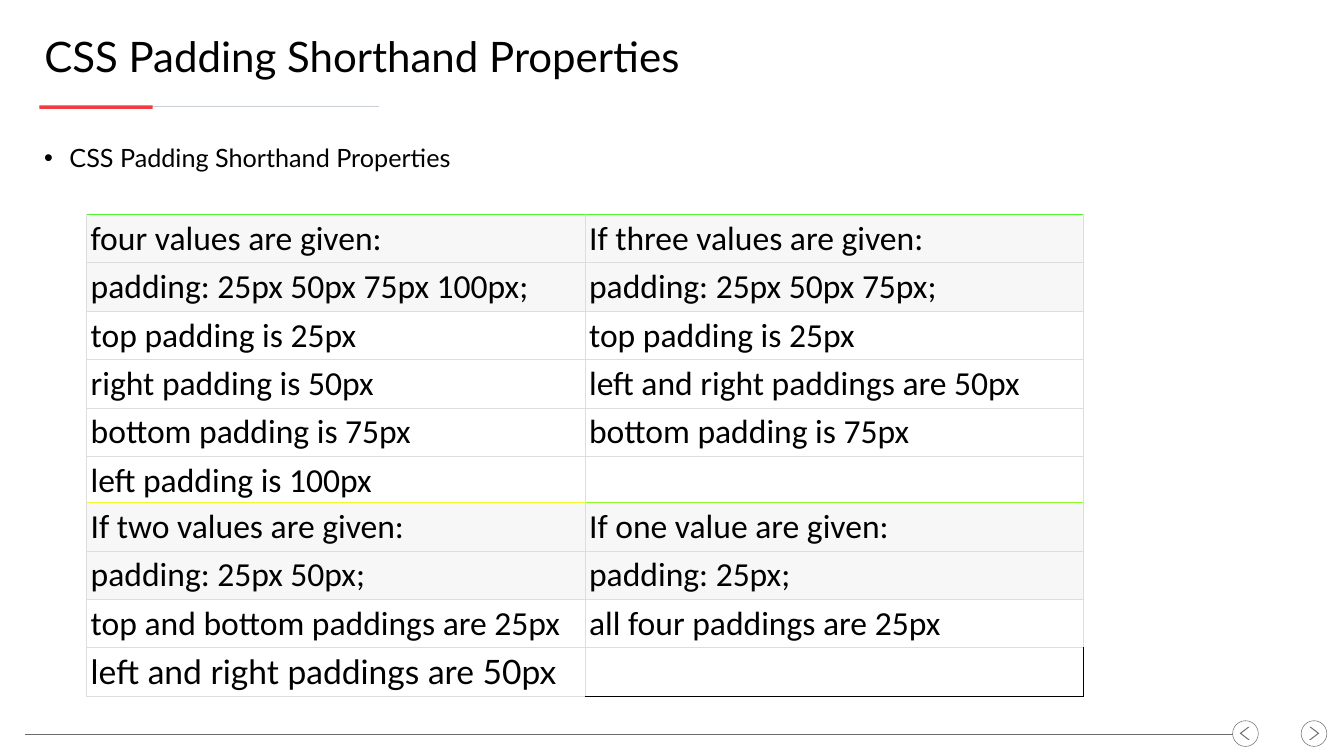
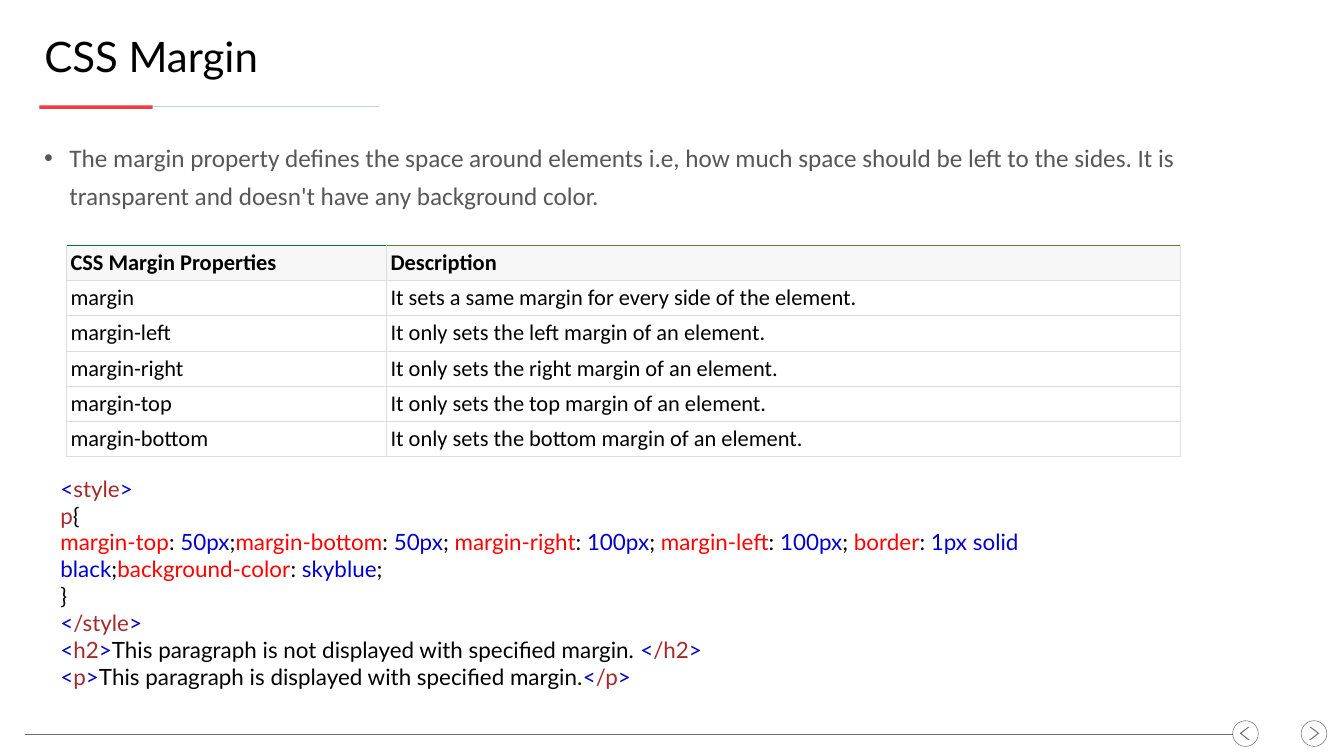
from lxml import etree
from pptx import Presentation
from pptx.dml.color import RGBColor
from pptx.enum.shapes import MSO_CONNECTOR, MSO_SHAPE
from pptx.enum.text import MSO_ANCHOR
from pptx.oxml.ns import qn
from pptx.util import Inches, Pt

STRAIGHT = MSO_CONNECTOR.STRAIGHT
RECT, OVAL, CHEVRON = MSO_SHAPE.RECTANGLE, MSO_SHAPE.OVAL, MSO_SHAPE.CHEVRON
TOP, MIDDLE, BOTTOM = MSO_ANCHOR.TOP, MSO_ANCHOR.MIDDLE, MSO_ANCHOR.BOTTOM

COLORS = {
    "black": "000000", "white": "FFFFFF", "body": "575757", "accent": "F23A43",
    "rule": "CBD0D7", "nav": "6C6C6C", "border": "DDDDDD", "header": "F7F7F7",
    "symbol": "0000CD", "tag": "A52A2A", "property": "FF0000",
    "green1": "50F52F", "green2": "50F62F", "yellow": "F0FA2F",
    "lime": "90FA2F", "pine": "007735", "moss": "607735",
}
HEADING, BODY = "Lato", "Calibri"

TITLE_BOX = (0.78, 0.59, 25.05, 1.04)
BULLET_BOX = (0.78, 2.63, 23.33, 10.88)
CODE_BOX = (1.1, 9.37, 22.54, 4.41)

LONG_FORMS = [
    ("four values are given:", "If three values are given:"),
    ("padding: 25px 50px 75px 100px;", "padding: 25px 50px 75px;"),
    ("top padding is 25px", "top padding is 25px"),
    ("right padding is 50px", "left and right paddings are 50px"),
    ("bottom padding is 75px", "bottom padding is 75px"),
    ("left padding is 100px", ""),
]
SHORT_FORMS = [
    ("If two values are given:", "If one value are given:"),
    ("padding: 25px 50px;", "padding: 25px;"),
    ("top and bottom paddings are 25px", "all four paddings are 25px"),
    ("left and right paddings are 50px", ""),
]
MARGIN_ROWS = [
    ("CSS Margin Properties", "Description"),
    ("margin", "It sets a same margin for every side of the element."),
] + [(f"margin-{side}", f"It only sets the {side} margin of an element.")
     for side in ("left", "right", "top", "bottom")]
DECLARATIONS = [
    ("margin-top", "50px"), ("margin-bottom", "50px"), (" margin-right", "100px"),
    (" margin-left", "100px"), (" border", "1px solid black"),
    ("background-color", "skyblue"),
]


def rgb(name):
    """Return the named colour."""
    return RGBColor.from_string(COLORS[name])


def style(font, size, face, color, bold=False):
    """Format a font."""
    font.size, font.name, font.bold = Pt(size), face, bold
    font.color.rgb = rgb(color)


def add_line(s, x1, x2, y, color, width):
    """Draw a horizontal line without shadow."""
    line = s.shapes.add_connector(STRAIGHT, Inches(x1), Inches(y), Inches(x2), Inches(y))
    line.line.color.rgb = rgb(color)
    line.line.width = Pt(width)
    etree.SubElement(line._element.spPr, qn("a:effectLst"))


def add_shape(s, kind, box, fill=None, outline=None):
    """Draw a flat preset shape."""
    sp = s.shapes.add_shape(kind, *map(Inches, box))
    sp.shadow.inherit = False
    if fill:
        sp.fill.solid()
        sp.fill.fore_color.rgb = rgb(fill)
    else:
        sp.fill.background()
    if outline:
        sp.line.color.rgb = rgb(outline)
        sp.line.width = Pt(0.75)
    else:
        sp.line.fill.background()
    return sp


def add_text_box(s, box, anchor=TOP):
    """Add a wrapping text box and return its frame."""
    tf = s.shapes.add_textbox(*map(Inches, box)).text_frame
    tf.word_wrap = True
    tf.vertical_anchor = anchor
    return tf


def add_nav_button(s, left, top, arrow_dx, rotation):
    """Draw a circled arrow."""
    add_shape(s, OVAL, (left, top, 0.51, 0.51), outline="nav")
    arrow = add_shape(s, CHEVRON, (left + arrow_dx, top + 0.12, 0.2, 0.26), fill="nav")
    arrow.adjustments[0] = 0.844
    arrow.rotation = rotation


def add_title(s, box, title):
    """Add the title with its two-tone rule."""
    left, top = box[:2]
    rule_y = top + 1.53
    add_line(s, left, left + 6.74, rule_y, "rule", 1.5)
    add_shape(s, RECT, (left, rule_y - 0.03, 2.25, 0.07), fill="accent")
    tf = add_text_box(s, box, MIDDLE)
    tf.text = title
    p = tf.paragraphs[0]
    p.space_after = Pt(12)
    style(p.runs[0].font, 60, HEADING, "black")


def add_footer(s, left=0.49, right=24.46, y=14.56):
    """Add the footer line and the navigation buttons."""
    add_nav_button(s, right + 1.36, y - 0.26, 0.16, 0)
    add_nav_button(s, right, y - 0.26, 0.14, 180)
    add_line(s, left, right, y, "nav", 0.75)


def add_bullet(s, box, text, face, color):
    """Add the bulleted statement."""
    tf = add_text_box(s, box)
    tf.text = text
    p = tf.paragraphs[0]
    p.line_spacing = 1.25
    p.space_after = Pt(12)
    pPr = p._p.get_or_add_pPr()
    pPr.set("marL", str(Inches(0.5)))
    pPr.set("indent", str(-Inches(0.5)))
    etree.SubElement(pPr, qn("a:buFont")).set("typeface", "Arial")
    etree.SubElement(pPr, qn("a:buChar")).set("char", "•")
    style(p.runs[0].font, 36, face, color)


def set_borders(cell, **sides):
    """Draw the four cell borders, grey unless a side names a colour."""
    tcPr = cell._tc.get_or_add_tcPr()
    for i, side in enumerate("LRTB"):
        ln = etree.Element(qn(f"a:ln{side}"), w=str(Pt(0.75)))
        fill = etree.SubElement(ln, qn("a:solidFill"))
        color = COLORS[sides.get(side, "border")]
        etree.SubElement(fill, qn("a:srgbClr")).set("val", color)
        tcPr.insert(i, ln)


def add_grid(s, box, widths, rows, size, tops, heads, body_fill=None, bold_head=False):
    """Add a bordered table with shaded heading rows and return it."""
    tbl = s.shapes.add_table(len(rows), len(widths), *map(Inches, box)).table
    tbl.first_row = tbl.horz_banding = False
    for col, width in zip(tbl.columns, widths):
        col.width = Inches(width)
    for i, row in enumerate(rows):
        for j, text in enumerate(row):
            cell = tbl.cell(i, j)
            cell.margin_left = cell.margin_right = Inches(0.08)
            cell.margin_top = cell.margin_bottom = Inches(0.08)
            cell.vertical_anchor = BOTTOM if i < heads else TOP
            fill = "header" if i < heads else body_fill
            if fill:
                cell.fill.solid()
                cell.fill.fore_color.rgb = rgb(fill)
            else:
                cell.fill.background()
            set_borders(cell, **({"T": tops[j]} if i == 0 else {}))
            if text:
                cell.text_frame.text = text
                r = cell.text_frame.paragraphs[0].runs[0]
                style(r.font, size, BODY, "black", bold_head and i == 0)
    return tbl


def tag(name):
    """Return the coloured parts of a markup tag."""
    return [("<", "symbol"), (name, "tag"), (">", "symbol")]


def element(name, text):
    """Return the coloured parts of an element with its text."""
    return tag(name) + [(text, "black")] + tag(f"/{name}")


def declaration(name, value):
    """Return the coloured parts of a style declaration."""
    return [(name, "property"), (":", "black"), (f" {value}", "symbol"), (";", "black")]


def add_code(s, box, lines):
    """Add a code listing of coloured parts."""
    p = add_text_box(s, box).paragraphs[0]
    for i, line in enumerate(lines):
        if i:
            p.add_line_break()
        for text, color in line:
            r = p.add_run()
            r.text = text
            style(r.font, 32, HEADING, color)


def add_base(prs, title):
    """Add a slide with title and footer."""
    s = prs.slides.add_slide(prs.slide_layouts[6])
    add_title(s, TITLE_BOX, title)
    add_footer(s)
    return s


def build_padding(prs):
    """Build the padding shorthand slide."""
    title = "CSS Padding Shorthand Properties"
    s = add_base(prs, title)
    add_bullet(s, BULLET_BOX, title, HEADING, "black")
    widths = (9.89, 9.89)
    add_grid(s, (1.72, 4.25, 19.79, 5.31), widths, LONG_FORMS, 48,
             ("green1", "green2"), heads=2)
    tbl = add_grid(s, (1.72, 9.97, 19.79, 3.13), widths, SHORT_FORMS, 48,
                   ("yellow", "lime"), heads=2)
    tbl.cell(3, 0).text_frame.paragraphs[0].runs[0].font.name = HEADING
    last = tbl.cell(3, 1)
    tcPr = last._tc.get_or_add_tcPr()
    for ln in list(tcPr)[:4]:
        tcPr.remove(ln)
    set_borders(last, R="black", B="black")


def build_margin(prs):
    """Build the margin slide."""
    s = add_base(prs, "CSS Margin")
    add_bullet(s, BULLET_BOX,
               "The margin property defines the space around elements i.e, how much "
               "space should be left to the sides. It is transparent and doesn't have "
               "any background color.", BODY, "body")
    add_grid(s, (1.32, 4.86, 22.1, 4.2), (6.35, 15.75), MARGIN_ROWS, 32,
             ("pine", "moss"), heads=1, body_fill="white", bold_head=True)
    rules = [part for d in DECLARATIONS for part in declaration(*d)]
    add_code(s, CODE_BOX, [
        tag("style"),
        [("p", "tag"), ("{", "black")],
        rules,
        [("}", "black")],
        tag("/style"),
        element("h2", "This paragraph is not displayed with specified margin. "),
        element("p", "This paragraph is displayed with specified margin."),
    ])


def main():
    """Build and save the presentation."""
    prs = Presentation()
    prs.slide_width, prs.slide_height = Inches(26.67), Inches(15)
    build_padding(prs)
    build_margin(prs)
    prs.save("out.pptx")


if __name__ == "__main__":
    main()
